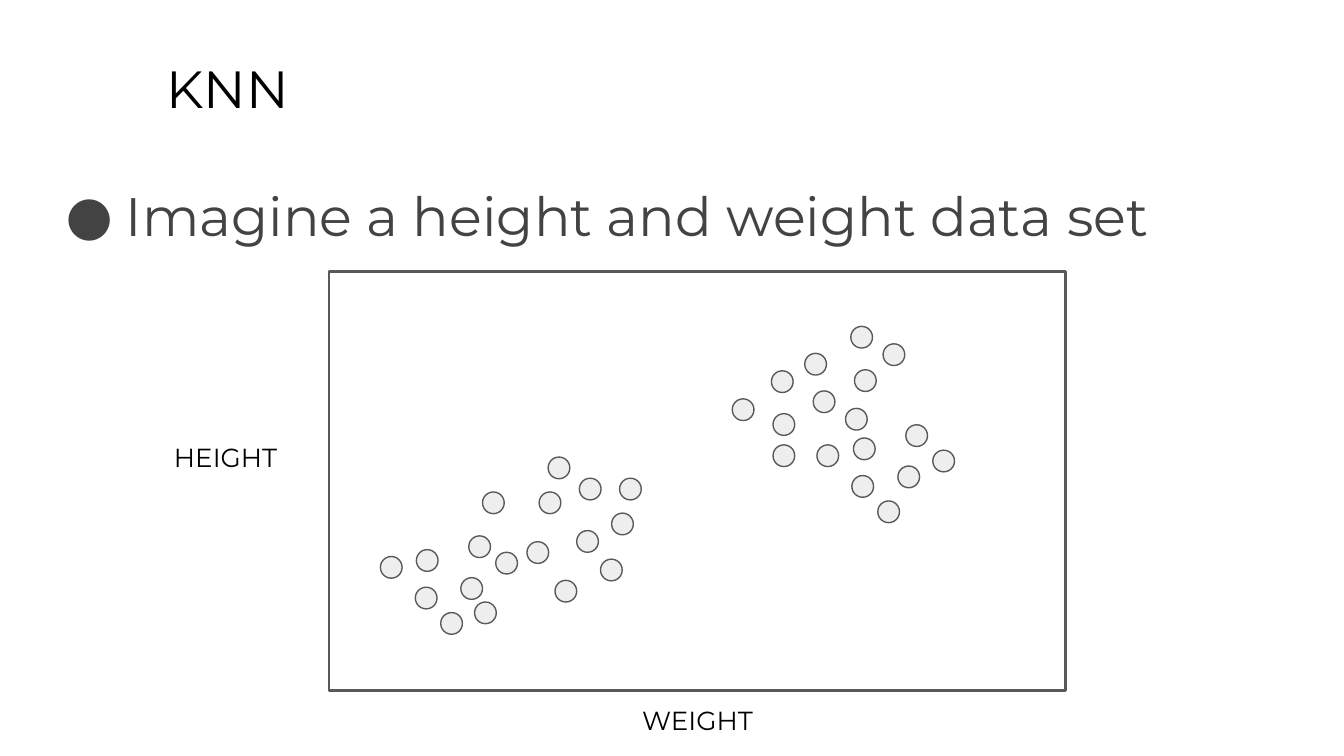
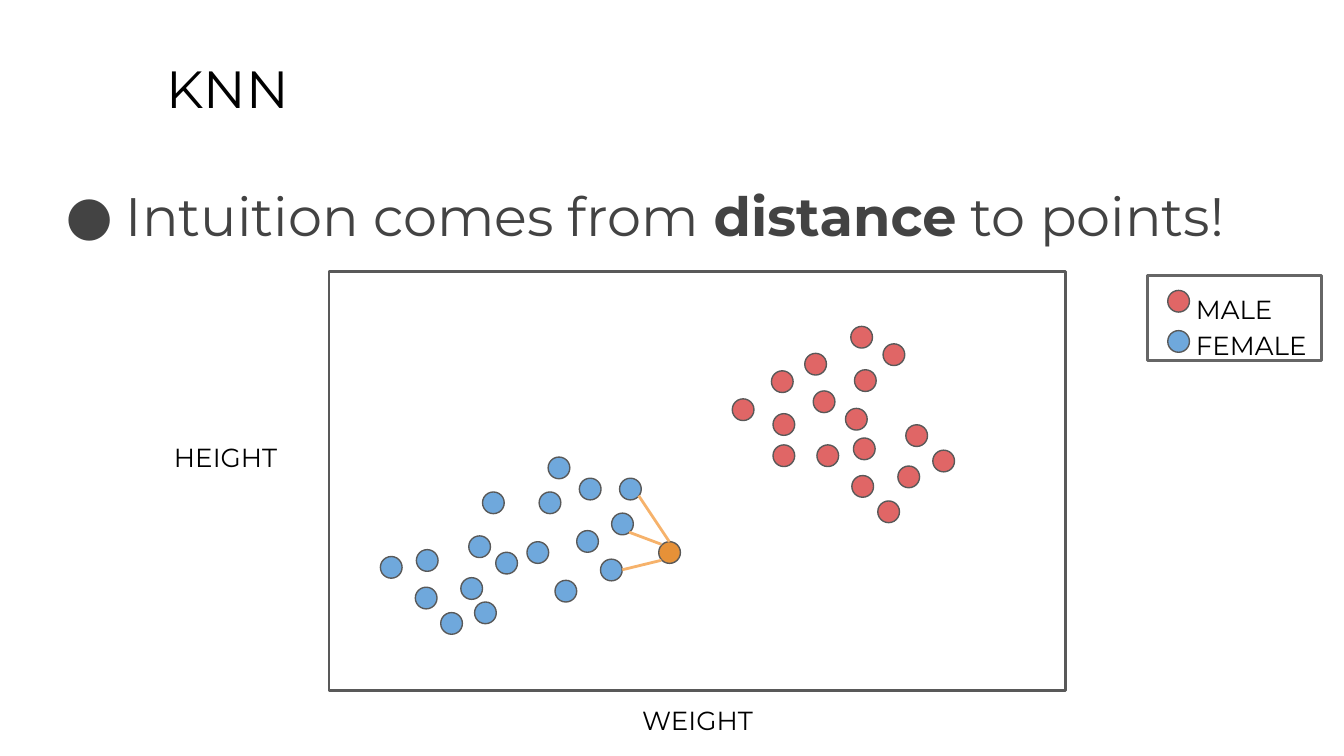
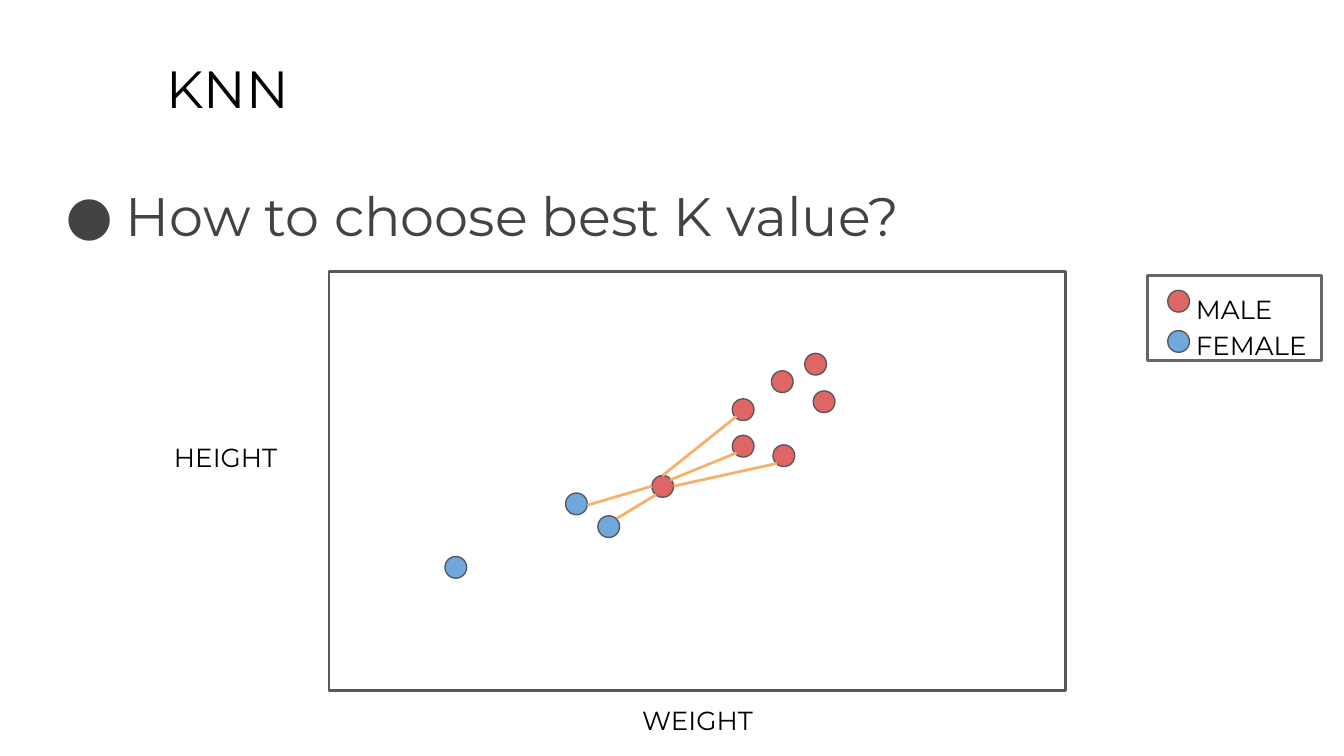
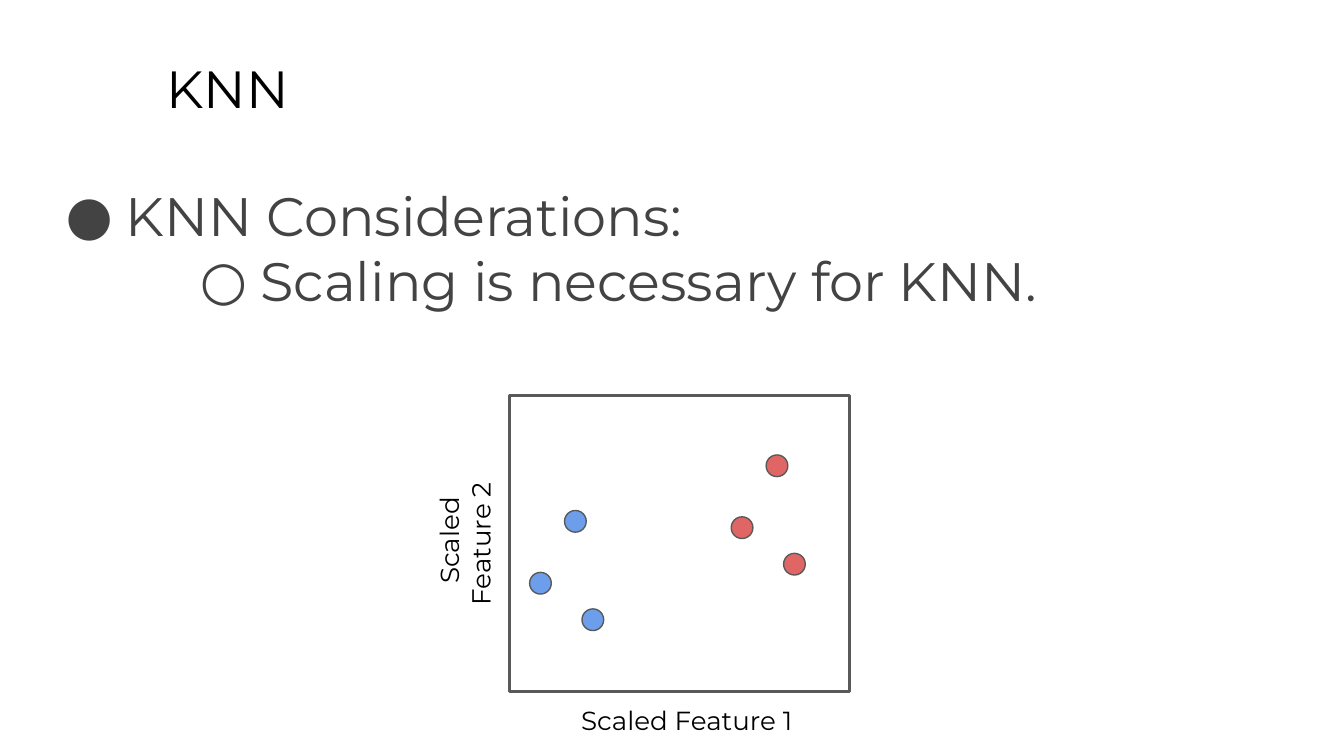
"""Build four slides that explain KNN with scatter sketches."""
from lxml import etree
from pptx import Presentation
from pptx.dml.color import RGBColor
from pptx.enum.shapes import MSO_CONNECTOR, MSO_SHAPE
from pptx.enum.text import MSO_ANCHOR, PP_ALIGN
from pptx.oxml.ns import qn
from pptx.util import Cm, Pt

RECT, OVAL = MSO_SHAPE.RECTANGLE, MSO_SHAPE.OVAL
STRAIGHT = MSO_CONNECTOR.STRAIGHT
TOP = MSO_ANCHOR.TOP
LEFT, CENTER = PP_ALIGN.LEFT, PP_ALIGN.CENTER

BLACK = RGBColor(0x00, 0x00, 0x00)
DARK = RGBColor(0x43, 0x43, 0x43)
EDGE = RGBColor(0x59, 0x59, 0x59)
GRAY = RGBColor(0x66, 0x66, 0x66)
PALE = RGBColor(0xEE, 0xEE, 0xEE)
BLUE = RGBColor(0x6F, 0xA8, 0xDC)
SKY = RGBColor(0x6D, 0x9E, 0xEB)
RED = RGBColor(0xE0, 0x66, 0x66)
ORANGE = RGBColor(0xE6, 0x91, 0x38)
PEACH = RGBColor(0xF6, 0xB2, 0x6B)

FONT = "Montserrat"
DOT = 0.41
MARKS = "●○"
INDENTS = (1.27, 3.81)
HANG = -1.14

FRAME = (6.22, 5.13, 13.92, 7.92)
SMALL = (9.63, 7.47, 6.43, 5.61)
KEY = (21.69, 5.21, 3.28, 1.6)
WEIGHT = ("WEIGHT", (11.33, 13.06, 3.71, 0.64), 0)
HEIGHT = ("HEIGHT", (2.41, 8.1, 3.71, 0.64), 0)
SCALED = [
    ("Scaled Feature 1", (8.13, 13.06, 9.7, 0.64), 0),
    (" Scaled Feature 2", (6.4, 9.96, 3.71, 0.64), 270),
]

WOMEN = [
    (8.97, 11.38), (9.96, 10.24), (10.19, 9.3), (10.49, 10.97), (9.12, 9.3),
    (9.37, 10.44), (10.9, 10.03), (11.71, 9.04), (11.56, 9.7), (11.35, 10.57),
    (10.95, 9.04), (10.36, 8.64), (8.86, 10.13), (7.87, 10.39), (8.33, 11.58),
    (7.85, 11.1), (7.19, 10.52), (8.71, 10.92),
]
MEN = [
    (13.84, 7.54), (14.61, 8.41), (14.61, 7.82), (16.08, 6.17), (15.21, 6.68),
    (15.98, 7.72), (15.37, 7.39), (14.58, 7.01), (16.15, 6.99), (16.69, 6.5),
    (17.12, 8.03), (16.13, 8.28), (16.59, 9.47), (16.1, 8.99), (15.44, 8.41),
    (16.97, 8.81), (17.63, 8.51),
]
FEW_WOMEN = [(8.41, 10.52), (10.69, 9.32), (11.3, 9.75)]
FEW_MEN = [
    (13.84, 7.54), (14.61, 8.41), (13.84, 8.23), (15.21, 6.68),
    (15.37, 7.39), (14.58, 7.01), (12.32, 8.99),
]
LOW = [(10.01, 10.82), (10.67, 9.65), (11, 11.51)]
HIGH = [(x + 3.81, y - 1.05) for x, y in LOW]

NEAR = [
    (12.65, 10.24, 12.07, 9.37),
    (12.5, 10.29, 11.89, 10.06),
    (12.5, 10.59, 11.76, 10.77),
]
VOTES = [
    (12.4, 9.35, 11.66, 9.8),
    (12.32, 9.19, 11.1, 9.55),
    (13.92, 8.56, 12.67, 9.07),
    (14.68, 8.76, 12.73, 9.19),
    (13.92, 7.87, 12.52, 8.99),
]

SLIDES = [
    dict(points=["Imagine a height and weight data set"], frame=FRAME,
         axes=[WEIGHT, HEIGHT], dots=[(PALE, WOMEN + MEN)], links=[], key=False),
    dict(points=["Intuition comes from *distance* to points!"], frame=FRAME,
         axes=[WEIGHT, HEIGHT],
         dots=[(BLUE, WOMEN), (RED, MEN), (ORANGE, [(12.45, 10.24)])],
         links=NEAR, key=True),
    dict(points=["How to choose best K value?"], frame=FRAME,
         axes=[WEIGHT, HEIGHT], dots=[(BLUE, FEW_WOMEN), (RED, FEW_MEN)],
         links=VOTES, key=True),
    dict(points=["KNN Considerations:", "Scaling is necessary for KNN."],
         frame=SMALL, axes=SCALED, dots=[(SKY, LOW), (RED, HIGH)],
         links=[], key=False),
]


def write(shape, lines, size=14, color=BLACK, align=LEFT, spacing=None,
          indent=0, bullets=False):
    """Fill a shape with paragraphs; text between asterisks is bold."""
    frame = shape.text_frame
    frame.word_wrap = True
    frame.vertical_anchor = TOP
    frame.margin_left = frame.margin_right = Cm(0.25)
    frame.margin_top = frame.margin_bottom = Cm(0.25)
    for level, line in enumerate(lines):
        para = frame.paragraphs[0] if level == 0 else frame.add_paragraph()
        para.alignment = align
        para.line_spacing = spacing
        props = para._p.get_or_add_pPr()
        if indent:
            props.set("marL", str(Cm(indent)))
        if bullets:
            para.level = level
            props.set("marL", str(Cm(INDENTS[level])))
            props.set("indent", str(Cm(HANG)))
            tint = etree.SubElement(props, qn("a:buClr"))
            etree.SubElement(tint, qn("a:srgbClr"), val=str(color))
            etree.SubElement(props, qn("a:buFont"), typeface=FONT)
            etree.SubElement(props, qn("a:buChar"), char=MARKS[level])
        for part, text in enumerate(line.split("*")):
            run = para.add_run()
            run.text = text
            run.font.name = FONT
            run.font.size = Pt(size)
            run.font.bold = part % 2 == 1
            run.font.color.rgb = color


def draw(slide, kind, box, fill=None, edge=EDGE, width=1.5):
    """Add an outlined shape, filled when a colour is given."""
    shape = slide.shapes.add_shape(kind, *map(Cm, box))
    shape.shadow.inherit = False
    if fill is None:
        shape.fill.background()
    else:
        shape.fill.solid()
        shape.fill.fore_color.rgb = fill
    shape.line.color.rgb = edge
    shape.line.width = Pt(width)
    return shape


deck = Presentation()
deck.slide_width, deck.slide_height = Cm(25.4), Cm(14.29)

for plan in SLIDES:
    slide = deck.slides.add_slide(deck.slide_layouts[6])
    shapes = slide.shapes
    draw(slide, RECT, plan["frame"])

    title = shapes.add_textbox(Cm(2.9), Cm(0.81), Cm(21.64), Cm(1.6))
    write(title, ["KNN"], size=28)
    body = shapes.add_textbox(Cm(0.86), Cm(3.2), Cm(24.54), Cm(2.77))
    write(body, plan["points"], size=29, color=DARK, bullets=True)

    for name, box, turn in plan["axes"]:
        label = shapes.add_textbox(*map(Cm, box))
        label.rotation = turn
        write(label, [name], align=CENTER)

    dots = list(plan["dots"])
    if plan["key"]:
        key = draw(slide, RECT, KEY, edge=GRAY)
        write(key, ["MALE", "FEMALE"], spacing=1.15, indent=0.66)
        dots += [(RED, [(22.07, 5.49)]), (BLUE, [(22.07, 6.25)])]

    for fill, spots in dots:
        for x, y in spots:
            draw(slide, OVAL, (x, y, DOT, DOT), fill=fill, width=0.75)

    for ends in plan["links"]:
        link = shapes.add_connector(STRAIGHT, *map(Cm, ends))
        link.line.color.rgb = PEACH
        link.line.width = Pt(1.5)
        etree.SubElement(link._element.spPr, qn("a:effectLst"))

deck.save("out.pptx")
